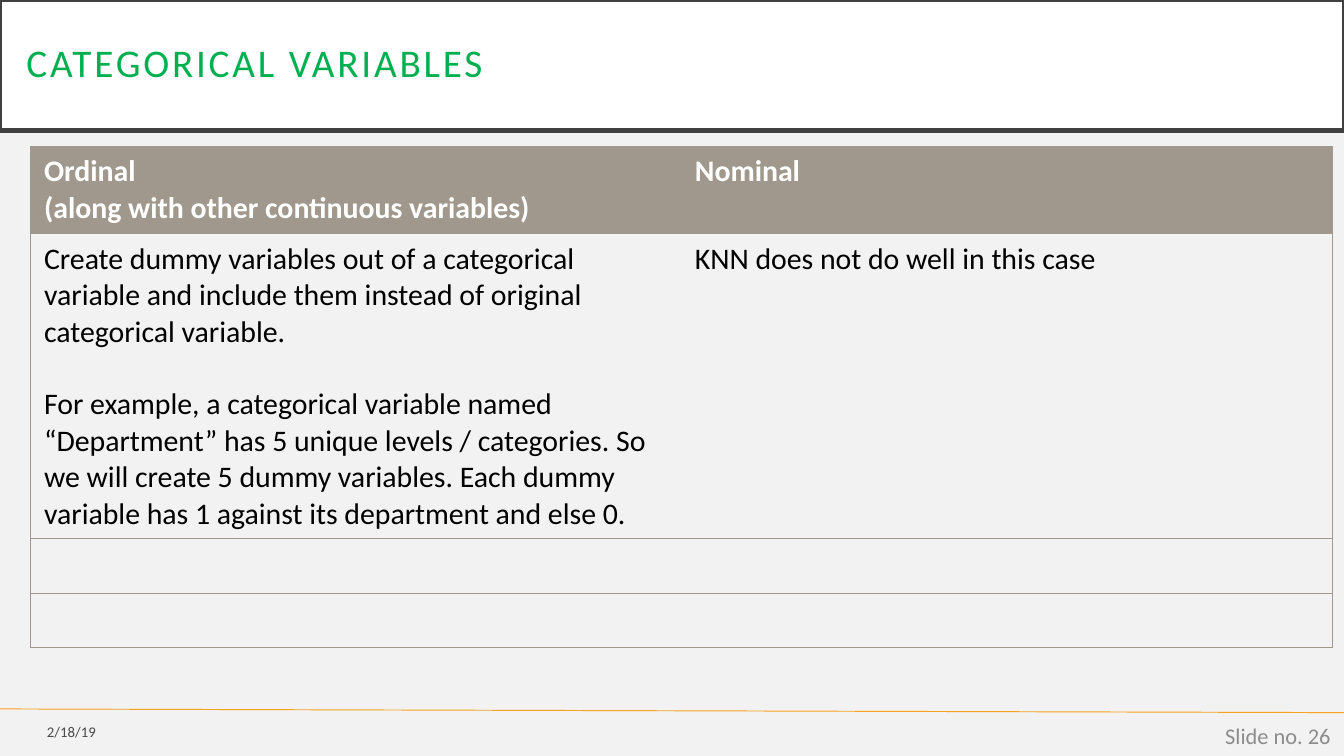
"""Builds the slide on categorical variables with a two-column table."""
from dataclasses import dataclass

from lxml.etree import SubElement
from pptx import Presentation
from pptx.dml.color import RGBColor
from pptx.enum.shapes import MSO_CONNECTOR, MSO_SHAPE
from pptx.enum.text import MSO_ANCHOR, PP_ALIGN
from pptx.oxml.ns import qn
from pptx.util import Cm, Pt


@dataclass(frozen=True)
class Theme:
    font: str = "Calibri"
    background: str = "F2F2F2"
    panel: str = "FFFFFF"
    frame: str = "404040"
    title: str = "00B050"
    rule: str = "F6A21D"
    table: str = "A0988C"
    header_text: str = "FFFFFF"
    body_text: str = "000000"
    date: str = "494949"
    number: str = "8C8C8C"
    title_size: float = 21
    table_size: float = 16
    date_size: float = 7.9
    number_size: float = 12
    hairline: float = 0.5


class SlideBuilder:
    def __init__(self, page, theme):
        self.page = page
        self.theme = theme
        page.background.fill.solid()
        page.background.fill.fore_color.rgb = RGBColor.from_string(theme.background)

    def style(self, para, size, color, bold=False):
        font = para.font
        font.name, font.size, font.bold = self.theme.font, Pt(size), bold
        font.color.rgb = RGBColor.from_string(color)

    def rule(self, x1, y1, x2, y2):
        line = self.page.shapes.add_connector(
            MSO_CONNECTOR.STRAIGHT, Cm(x1), Cm(y1), Cm(x2), Cm(y2))
        line.line.color.rgb = RGBColor.from_string(self.theme.rule)
        line.line.width = Pt(self.theme.hairline)
        SubElement(line._element.spPr, qn("a:effectLst"))

    def title(self, text, left, top, width, height):
        box = self.page.shapes.add_shape(
            MSO_SHAPE.RECTANGLE, Cm(left), Cm(top), Cm(width), Cm(height))
        box.shadow.inherit = False
        box.fill.solid()
        box.fill.fore_color.rgb = RGBColor.from_string(self.theme.panel)
        box.line.color.rgb = RGBColor.from_string(self.theme.frame)
        box.line.width = Pt(2.5)
        frame = box.text_frame
        frame.margin_left = frame.margin_right = Cm(0.5)
        frame.vertical_anchor = MSO_ANCHOR.MIDDLE
        para = frame.paragraphs[0]
        para.text = text
        para.alignment = PP_ALIGN.LEFT
        para.line_spacing = 0.9
        self.style(para, self.theme.title_size, self.theme.title)
        para.runs[0].font._element.set("spc", "150")

    def label(self, text, left, top, width, height, size, color):
        box = self.page.shapes.add_textbox(Cm(left), Cm(top), Cm(width), Cm(height))
        frame = box.text_frame
        frame.word_wrap = True
        frame.vertical_anchor = MSO_ANCHOR.MIDDLE
        para = frame.paragraphs[0]
        para.text = text
        para.alignment = PP_ALIGN.RIGHT
        self.style(para, size, color)

    def borders(self, cell, visible):
        for side in "LRTB":
            line = SubElement(cell._tc.get_or_add_tcPr(), qn(f"a:ln{side}"),
                              w=str(Pt(self.theme.hairline)))
            if side in visible:
                fill = SubElement(line, qn("a:solidFill"))
                SubElement(fill, qn("a:srgbClr"), val=self.theme.table)
            else:
                SubElement(line, qn("a:noFill"))

    def table(self, rows, left, top, width, heights):
        columns = len(rows[0])
        table = self.page.shapes.add_table(
            len(rows), columns, Cm(left), Cm(top), Cm(width), Cm(sum(heights))).table
        table.horz_banding = False
        for row, height in zip(table.rows, heights):
            row.height = Cm(height)
        for r, texts in enumerate(rows):
            for c, text in enumerate(texts):
                cell = table.cell(r, c)
                self.borders(cell, "TB" + "L" * (c == 0) + "R" * (c == columns - 1))
                self.fill_cell(cell, text, header=r == 0)

    def fill_cell(self, cell, text, header):
        theme = self.theme
        if header:
            cell.fill.solid()
            cell.fill.fore_color.rgb = RGBColor.from_string(theme.table)
        else:
            cell.fill.background()
        if not text:
            return
        cell.text = text
        for index, para in enumerate(cell.text_frame.paragraphs):
            self.style(para, theme.table_size,
                       theme.header_text if header else theme.body_text, header)
            if index and not header:
                para.space_before = Pt(19.5)


def main():
    theme = Theme()
    deck = Presentation()
    deck.slide_width, deck.slide_height = Cm(25.4), Cm(14.29)
    builder = SlideBuilder(deck.slides.add_slide(deck.slide_layouts[6]), theme)
    builder.rule(0, 13.4, 25.4, 13.47)
    builder.title("CATEGORICAL VARIABLES", 0, 0, 25.4, 2.47)
    builder.label("2/18/19", 0, 13.49, 2.06, 0.69, theme.date_size, theme.date)
    builder.label("Slide no. 26", 19.69, 13.52, 5.71, 0.76,
                  theme.number_size, theme.number)
    rows = [
        ("Ordinal\n(along with other continuous variables)", "Nominal"),
        ("Create dummy variables out of a categorical variable and include them "
         "instead of original categorical variable.\n"
         "For example, a categorical variable named “Department” has 5 unique "
         "levels / categories. So we will create 5 dummy variables. Each dummy "
         "variable has 1 against its department and else 0.",
         "KNN does not do well in this case"),
        ("", ""),
        ("", ""),
    ]
    builder.table(rows, 0.58, 2.77, 24.6, [1.65, 5.76, 1.03, 1.03])
    deck.save("out.pptx")


if __name__ == "__main__":
    main()
